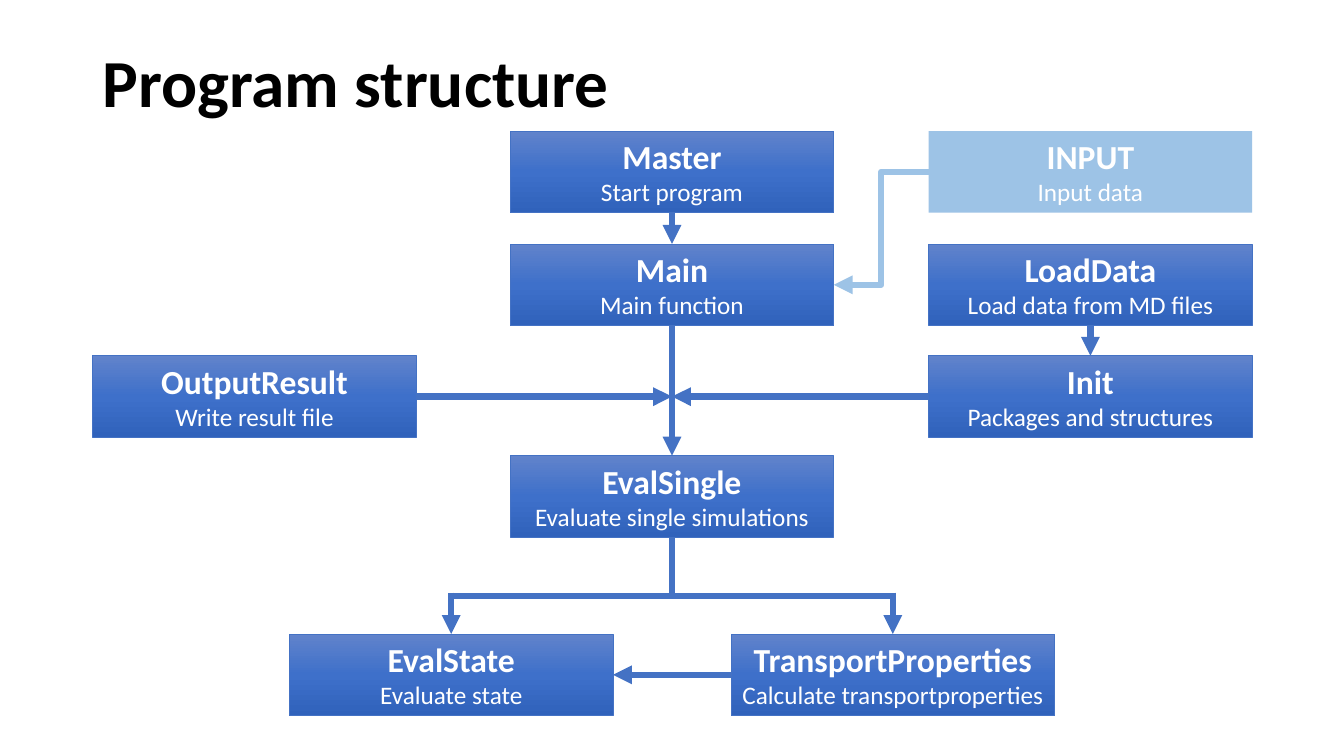
"""Build the program structure flow chart slide."""
import copy
from dataclasses import dataclass

import lxml.etree
import pptx
import pptx.dml.color
import pptx.enum.shapes
import pptx.enum.text
import pptx.oxml.ns
import pptx.util
from pptx.util import Inches

RGB = pptx.dml.color.RGBColor.from_string
CONNECTOR = pptx.enum.shapes.MSO_CONNECTOR
TOP, LEFT, BOTTOM, RIGHT = range(4)


@dataclass(frozen=True)
class Theme:
    font: str = "Calibri"
    title: str = "000000"
    text: str = "FFFFFF"
    main: str = "4472C4"
    input: str = "9DC3E6"
    gradient: tuple[str, ...] = ("6183CB", "3E70CA", "3062BB")
    title_size: float = 48
    name_size: float = 24
    detail_size: float = 18
    outline: float = 0.5
    arrow: float = 4.5


@dataclass(frozen=True)
class Box:
    name: str
    detail: str
    left: float
    top: float


@dataclass(frozen=True)
class Link:
    source: str
    source_side: int
    target: str
    target_side: int


@dataclass(frozen=True)
class Line:
    start: tuple[float, float]
    end: tuple[float, float]
    arrow: bool = True


THEME = Theme()
WIDTH, HEIGHT = 3.21, 0.81
OUTER_LEFT, CENTER, OUTER_RIGHT = 0.92, 5.06, 9.21
STATE_LEFT, TRANSPORT_LEFT = 2.87, 7.25
START_ROW, MAIN_ROW, INIT_ROW, SINGLE_ROW, DETAIL_ROW = 1.3, 2.42, 3.53, 4.52, 6.29
SPINE = CENTER + WIDTH / 2
STATE_X, TRANSPORT_X = STATE_LEFT + WIDTH / 2, TRANSPORT_LEFT + WIDTH / 2
INIT_Y = INIT_ROW + HEIGHT / 2
FORK_Y = 5.91
BRANCH_Y = 5.88

BOXES = (
    Box("Master", "Start program", CENTER, START_ROW),
    Box("Main", "Main function", CENTER, MAIN_ROW),
    Box("INPUT", "Input data", OUTER_RIGHT, START_ROW),
    Box("EvalSingle", "Evaluate single simulations", CENTER, SINGLE_ROW),
    Box("EvalState", "Evaluate state", STATE_LEFT, DETAIL_ROW),
    Box("TransportProperties", "Calculate transportproperties", TRANSPORT_LEFT, DETAIL_ROW),
    Box("OutputResult", "Write result file", OUTER_LEFT, INIT_ROW),
    Box("Init", "Packages and structures", OUTER_RIGHT, INIT_ROW),
    Box("LoadData", "Load data from MD files", OUTER_RIGHT, MAIN_ROW),
)
LINKS = (
    Link("Master", BOTTOM, "Main", TOP),
    Link("Main", BOTTOM, "EvalSingle", TOP),
    Link("LoadData", BOTTOM, "Init", TOP),
    Link("INPUT", LEFT, "Main", RIGHT),
    Link("TransportProperties", LEFT, "EvalState", RIGHT),
)
LINES = (
    Line((OUTER_RIGHT, INIT_Y), (SPINE, INIT_Y)),
    Line((OUTER_LEFT + WIDTH, INIT_Y), (SPINE, INIT_Y)),
    Line((STATE_X, BRANCH_Y), (STATE_X, DETAIL_ROW)),
    Line((TRANSPORT_X, BRANCH_Y), (TRANSPORT_X, DETAIL_ROW)),
    Line((STATE_X, FORK_Y), (TRANSPORT_X, FORK_Y), arrow=False),
    Line((SPINE, SINGLE_ROW + HEIGHT), (SPINE, FORK_Y), arrow=False),
)


def write(paragraph, text: str, size: float, color: str, bold: bool) -> None:
    """Fill a paragraph with text in one style."""
    paragraph.text = text
    font = paragraph.font
    font.name, font.size, font.bold = THEME.font, pptx.util.Pt(size), bold
    font.color.rgb = RGB(color)


def fill_gradient(shape) -> None:
    """Give a shape the vertical three-stop gradient."""
    shape.fill.gradient()
    shape.fill.gradient_angle = 270
    stop_list = shape.element.spPr.find(".//" + pptx.oxml.ns.qn("a:gsLst"))
    stop_list.append(copy.deepcopy(stop_list[0]))
    for index, (stop, color) in enumerate(zip(shape.fill.gradient_stops, THEME.gradient)):
        stop.position = index / 2
        stop.color.rgb = RGB(color)


def add_title(slide, text: str) -> None:
    """Add the slide title."""
    frame = slide.shapes.add_textbox(
        Inches(0.92), Inches(0.4), Inches(11.5), Inches(0.9)).text_frame
    frame.word_wrap = True
    frame.vertical_anchor = pptx.enum.text.MSO_ANCHOR.MIDDLE
    frame.paragraphs[0].line_spacing = 0.9
    write(frame.paragraphs[0], text, THEME.title_size, THEME.title, True)


def add_box(slide, box: Box):
    """Add a program part with its name and description."""
    shape = slide.shapes.add_shape(
        pptx.enum.shapes.MSO_SHAPE.RECTANGLE,
        Inches(box.left), Inches(box.top), Inches(WIDTH), Inches(HEIGHT))
    shape.shadow.inherit = False
    if box.name == "INPUT":
        shape.fill.solid()
        shape.fill.fore_color.rgb = RGB(THEME.input)
        shape.line.fill.background()
    else:
        fill_gradient(shape)
        shape.line.color.rgb = RGB(THEME.main)
        shape.line.width = pptx.util.Pt(THEME.outline)
    frame = shape.text_frame
    frame.vertical_anchor = pptx.enum.text.MSO_ANCHOR.TOP
    frame.auto_size = pptx.enum.text.MSO_AUTO_SIZE.SHAPE_TO_FIT_TEXT
    write(frame.paragraphs[0], box.name, THEME.name_size, THEME.text, True)
    write(frame.add_paragraph(), box.detail, THEME.detail_size, THEME.text, False)
    for paragraph in frame.paragraphs:
        paragraph.alignment = pptx.enum.text.PP_ALIGN.CENTER
    return shape


def style_connector(connector, color: str, arrow: bool) -> None:
    """Set colour, width and arrowhead of a connector."""
    connector.line.color.rgb = RGB(color)
    connector.line.width = pptx.util.Pt(THEME.arrow)
    properties = connector.element.spPr
    if arrow:
        outline = properties.find(pptx.oxml.ns.qn("a:ln"))
        lxml.etree.SubElement(outline, pptx.oxml.ns.qn("a:tailEnd"), type="triangle")
    lxml.etree.SubElement(properties, pptx.oxml.ns.qn("a:effectLst"))


def add_link(slide, link: Link, shapes: dict) -> None:
    """Join two boxes with an attached arrow."""
    is_input = link.source == "INPUT"
    kind = CONNECTOR.ELBOW if is_input else CONNECTOR.STRAIGHT
    connector = slide.shapes.add_connector(kind, 0, 0, 0, 0)
    connector.begin_connect(shapes[link.source], link.source_side)
    connector.end_connect(shapes[link.target], link.target_side)
    style_connector(connector, THEME.input if is_input else THEME.main, True)


def add_line(slide, line: Line) -> None:
    """Add a free straight line."""
    connector = slide.shapes.add_connector(
        CONNECTOR.STRAIGHT, *(Inches(value) for value in line.start + line.end))
    style_connector(connector, THEME.main, line.arrow)


def main() -> None:
    """Build and save the presentation."""
    presentation = pptx.Presentation()
    presentation.slide_width, presentation.slide_height = Inches(13.33), Inches(7.5)
    slide = presentation.slides.add_slide(presentation.slide_layouts[6])
    add_title(slide, "Program structure")
    shapes = {box.name: add_box(slide, box) for box in BOXES}
    for link in LINKS:
        add_link(slide, link, shapes)
    for line in LINES:
        add_line(slide, line)
    presentation.save("out.pptx")


main()
